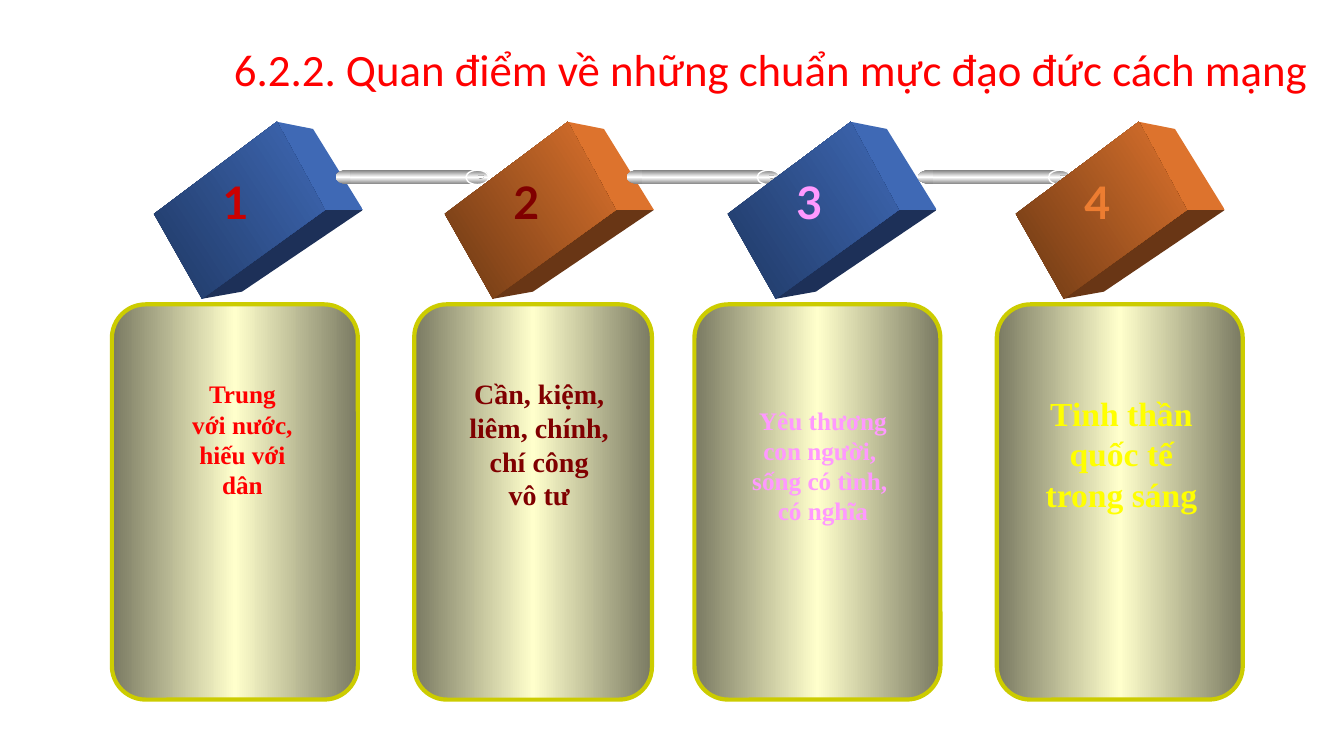
import dataclasses

import pptx
import pptx.dml.color
import pptx.enum.shapes
import pptx.enum.text
import pptx.oxml
import pptx.oxml.ns
import pptx.util

Cm, Pt = pptx.util.Cm, pptx.util.Pt
Shape = pptx.enum.shapes.MSO_SHAPE
Align = pptx.enum.text.PP_ALIGN
Anchor = pptx.enum.text.MSO_ANCHOR


@dataclasses.dataclass(frozen=True)
class Theme:
    heading: str = "Calibri"
    number: str = "Lato"
    body: str = "Times New Roman"
    heading_size: int = 32
    number_size: int = 32
    red: str = "FF0000"
    card_line: str = "CCCC00"
    card_fill: tuple = ((0, "7A7A62"), (50, "FFFFCC"), (100, "7A7A62"))
    rod_fill: tuple = ((0, "808080"), (50, "FFFFFF"), (100, "808080"))
    rod_line: str = "FFFFFF"
    # Front gradient from dark to light, side face, underside
    blue: tuple = ("1F3864", "3F69B5", "3F69B5", "1D3058")
    orange: tuple = ("6B3814", "DD732D", "DD732D", "693615")


THEME = Theme()


@dataclasses.dataclass(frozen=True)
class Column:
    number: str
    number_color: str
    block_left: float
    block_colors: tuple
    card: tuple        # left, width
    text_box: tuple    # left, top, width, height
    text_color: str
    text_size: int
    lines: tuple


COLUMNS = (
    Column("1", "CC0000", 3.88, THEME.blue, (2.82, 6.2), (3.43, 9.42, 5.36, 6.88),
           "FF0000", 18, ("Trung", "với nước,", "hiếu với", "dân")),
    Column("2", "800000", 11.21, THEME.orange, (10.44, 5.99), (10.72, 9.37, 5.74, 7.01),
           "800000", 20, ("Cần, kiệm,", "liêm, chính,", "chí công", "vô tư")),
    Column("3", "FF99FF", 18.34, THEME.blue, (17.5, 6.2), (18.24, 10.08, 5, 6.1),
           "FF99FF", 18, ("Yêu thương", "con người, ", "sống có tình, ", "có nghĩa")),
    Column("4", "ED7D31", 25.6, THEME.orange, (25.12, 6.2), (25.4, 9.78, 5.72, 5.69),
           "FFFF00", 24, ("Tinh thần", "quốc tế", "trong sáng")),
)
BLOCK_TOP = 3.07
CARD_TOP, CARD_HEIGHT = 7.67, 9.96
ROD_LEFT, ROD_TOP, ROD_STEP = 8.46, 4.28, 7.34


def rgb(color):
    return pptx.dml.color.RGBColor.from_string(color)


def paint(shape, stops, angle=0, line=None, width=1):
    """Gradient fill at a clockwise angle, with an optional outline."""
    shape.shadow.inherit = False
    if line:
        shape.line.color.rgb = rgb(line)
        shape.line.width = Pt(width)
    else:
        shape.line.fill.background()
    marks = "".join(f'<a:gs pos="{position * 1000}"><a:srgbClr val="{color}"/></a:gs>'
                    for position, color in stops)
    gradient = pptx.oxml.parse_xml(
        f'<a:gradFill {pptx.oxml.ns.nsdecls("a")} rotWithShape="1"><a:gsLst>{marks}</a:gsLst>'
        f'<a:lin ang="{angle * 60000}" scaled="0"/></a:gradFill>')
    shape.fill.background()
    properties = shape._element.spPr
    blank = properties.find(pptx.oxml.ns.qn("a:noFill"))
    properties.replace(blank, gradient)


def add_text(page, box, lines, font, size, color, align):
    frame = page.shapes.add_textbox(*map(Cm, box)).text_frame
    frame.word_wrap = False
    for index, line in enumerate(lines):
        para = frame.paragraphs[0] if index == 0 else frame.add_paragraph()
        para.text = line
        para.alignment = align
        para.font.name = font
        para.font.size = Pt(size)
        para.font.bold = True
        para.font.color.rgb = rgb(color)


def add_title(page, box, text):
    title = page.shapes.title
    title.left, title.top, title.width, title.height = map(Cm, box)
    frame = title.text_frame
    frame.text = text
    frame.word_wrap = True
    frame.auto_size = pptx.enum.text.MSO_AUTO_SIZE.NONE
    frame.vertical_anchor = Anchor.MIDDLE
    para = frame.paragraphs[0]
    para.alignment = Align.LEFT
    para.line_spacing = 0.9
    para.font.name = THEME.heading
    para.font.size = Pt(THEME.heading_size)
    para.font.color.rgb = rgb(THEME.red)


def add_block(page, left, top, column):
    """Tilted solid block made of three faces, with its number."""
    dark, light, side, under = column.block_colors
    faces = (
        (((1.21, 4.46), (2.22, 4.28), (5.27, 2.22), (4.31, 2.22)), under, under),
        (((3.1, 0), (4.01, 0.18), (5.27, 2.22), (4.31, 2.22)), side, side),
        (((0, 2.32), (3.1, 0), (4.31, 2.22), (1.21, 4.46)), dark, light),
    )
    for corners, start, end in faces:
        points = [(Cm(left + x), Cm(top + y)) for x, y in corners]
        builder = page.shapes.build_freeform(*points[0])
        builder.add_line_segments(points[1:], close=True)
        paint(builder.convert_to_shape(), ((0, start), (100, end)), 327)
    add_text(page, (left + 1.48, top + 1.2, 1.14, 1.63), (column.number,),
             THEME.number, THEME.number_size, column.number_color, Align.LEFT)


def add_rod(page, left, top):
    """Metal rod: rounded start, bar, ringed end and its hole."""
    parts = (
        (Shape.OVAL, 0, 0, 0.66, 0.36, None),
        (Shape.RECTANGLE, 0.37, 0.01, 3.2, 0.36, None),
        (Shape.OVAL, 3.28, 0.01, 0.58, 0.36, THEME.rod_line),
        (Shape.OVAL, 3.58, 0.12, 0.15, 0.1, None),
    )
    for kind, x, y, width, height, line in parts:
        part = page.shapes.add_shape(kind, Cm(left + x), Cm(top + y), Cm(width), Cm(height))
        paint(part, THEME.rod_fill, 90, line)


def add_card(page, left, top, width, height, column):
    card = page.shapes.add_shape(Shape.ROUNDED_RECTANGLE,
                                 Cm(left), Cm(top), Cm(width), Cm(height))
    card.adjustments[0] = 0.137
    paint(card, THEME.card_fill, 0, THEME.card_line, 3)
    add_text(page, column.text_box, column.lines, THEME.body,
             column.text_size, column.text_color, Align.CENTER)


def build_standards_slide(deck):
    page = deck.slides.add_slide(deck.slide_layouts[5])
    add_title(page, (5.64, 1.04, 27.74, 1.55),
              "6.2.2. Quan điểm về những chuẩn mực đạo đức cách mạng")
    # Blocks joined by rods, each above its card
    for index, column in enumerate(COLUMNS):
        add_block(page, column.block_left, BLOCK_TOP, column)
        if index < len(COLUMNS) - 1:
            add_rod(page, ROD_LEFT + index * ROD_STEP, ROD_TOP)
        left, width = column.card
        add_card(page, left, CARD_TOP, width, CARD_HEIGHT, column)


def main():
    deck = pptx.Presentation()
    deck.slide_width, deck.slide_height = Cm(33.87), Cm(19.05)
    build_standards_slide(deck)
    deck.save("out.pptx")


if __name__ == "__main__":
    main()
